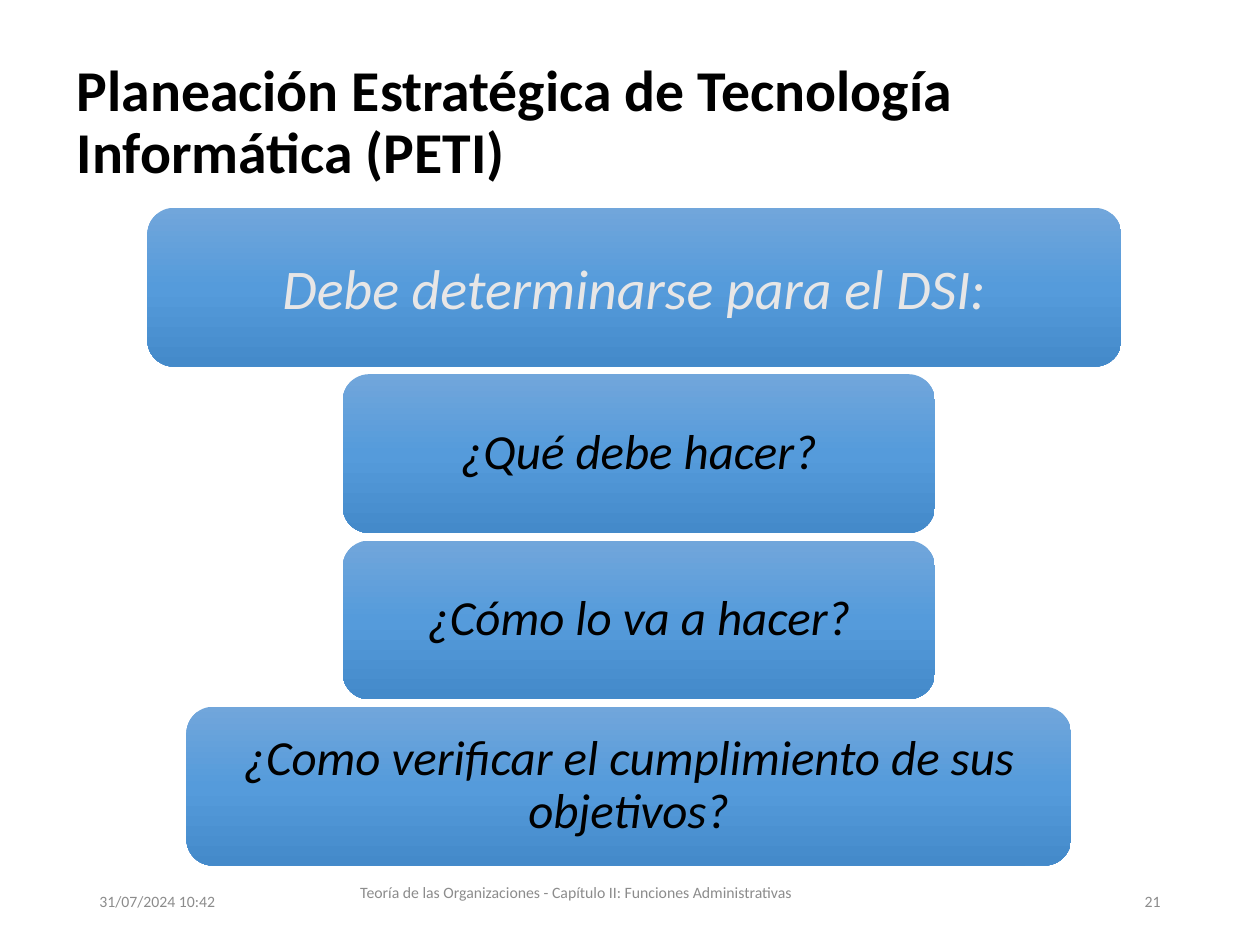
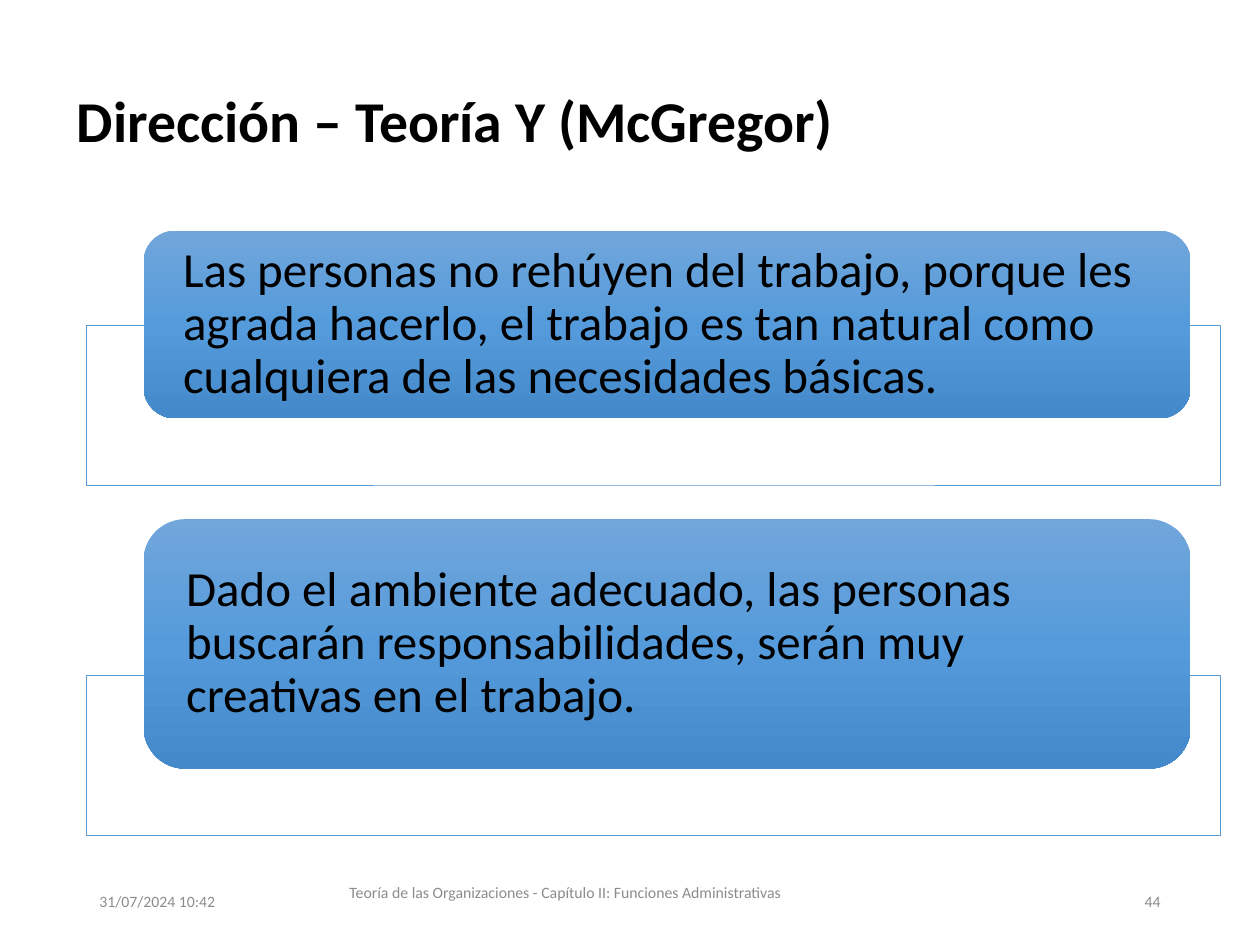
from copy import deepcopy

from lxml.etree import SubElement
from pptx import Presentation
from pptx.dml.color import RGBColor
from pptx.enum.shapes import MSO_SHAPE
from pptx.enum.text import MSO_ANCHOR, MSO_AUTO_SIZE, PP_ALIGN
from pptx.oxml.ns import qn
from pptx.util import Inches, Pt

FONT = "Calibri"
BLACK, PALE, GREY, WHITE, BLUE = "000000", "E7E6E6", "8C8C8C", "FFFFFF", "5B9BD5"
GRADIENT = ["71A6DB", "559BDB", "448ACA"]
COURSE = "Teoría de las Organizaciones - Capítulo II: Funciones Administrativas"
TITLE = {"size": Pt(33), "bold": True}
HEADING = {"size": Pt(32), "italic": True}
QUESTION = {"size": Pt(28), "italic": True}
STATEMENT = {"size": Pt(28)}
FOOTER = {"size": Pt(9)}


def rgb(value):
    return RGBColor.from_string(value)


class Deck:
    """Holds the shared style and the slide being built."""

    def __init__(self):
        self.prs = Presentation()
        self.prs.slide_width, self.prs.slide_height = Inches(10), Inches(7.5)
        self.s = None

    def add_slide(self, title, number, course_left, course_width):
        self.s = self.prs.slides.add_slide(self.prs.slide_layouts[5])
        sp = self.s.shapes.title
        sp.left, sp.top, sp.width, sp.height = map(Inches, (0.51, 0.36, 9, 1.25))
        self.set_text(sp, title, TITLE, spacing=0.9)
        self.label("31/07/2024 10:42", 0.69, 6.95, 2.25, 0.4, PP_ALIGN.LEFT)
        self.label(COURSE, course_left, 6.83, course_width, 0.5, PP_ALIGN.CENTER)
        self.label(str(number), 7.06, 6.95, 2.25, 0.4, PP_ALIGN.RIGHT)

    def set_text(self, sp, text, style, color=BLACK, align=PP_ALIGN.LEFT,
                 spacing=1.0, insets=(0.1, 0.05)):
        tf = sp.text_frame
        across, down = map(Inches, insets)
        frame = {"word_wrap": True, "auto_size": MSO_AUTO_SIZE.NONE,
                 "vertical_anchor": MSO_ANCHOR.MIDDLE,
                 "margin_left": across, "margin_right": across,
                 "margin_top": down, "margin_bottom": down}
        for name, value in frame.items():
            setattr(tf, name, value)
        p = tf.paragraphs[0]
        p.alignment, p.line_spacing = align, spacing
        r = p.add_run()
        r.text = text
        for name, value in {"name": FONT, **style}.items():
            setattr(r.font, name, value)
        r.font.color.rgb = rgb(color)

    def label(self, text, left, top, width, height, align):
        sp = self.s.shapes.add_textbox(*map(Inches, (left, top, width, height)))
        self.set_text(sp, text, FOOTER, GREY, align)

    def shape(self, kind, left, top, width, height):
        sp = self.s.shapes.add_shape(kind, *map(Inches, (left, top, width, height)))
        sp.shadow.inherit = False
        return sp

    def card(self, text, left, top, width, height, style, **text_format):
        sp = self.shape(MSO_SHAPE.ROUNDED_RECTANGLE, left, top, width, height)
        sp.line.fill.background()
        sp.fill.gradient()
        sp.fill.gradient_angle = 270
        stop_list = sp._element.spPr.find(qn("a:gradFill")).find(qn("a:gsLst"))
        stop_list.insert(1, deepcopy(stop_list[0]))
        for i, (stop, color) in enumerate(zip(sp.fill.gradient_stops, GRADIENT)):
            stop.position = i / 2
            stop.color.rgb = rgb(color)
        self.set_text(sp, text, style, **text_format)

    def frame(self, left, top, width, height):
        sp = self.shape(MSO_SHAPE.RECTANGLE, left, top, width, height)
        sp.fill.solid()
        sp.fill.fore_color.rgb = rgb(WHITE)
        color = sp._element.spPr.find(qn("a:solidFill"))[0]
        SubElement(color, qn("a:alpha")).set("val", "90000")
        sp.line.color.rgb = rgb(BLUE)
        sp.line.width = Pt(0.5)


def build_planning(deck):
    deck.add_slide("Planeación Estratégica de Tecnología Informática (PETI)", 21, 2.03, 5.08)
    top, height, pitch = 1.65, 1.26, 1.32
    deck.card("Debe determinarse para el DSI:", 1.17, top, 7.73, height, HEADING,
              color=PALE, align=PP_ALIGN.CENTER, insets=(0.13, 0.07))
    questions = [
        ("¿Qué debe hacer?", 2.72, 4.7),
        ("¿Cómo lo va a hacer?", 2.72, 4.7),
        ("¿Como verificar el cumplimiento de sus objetivos?", 1.48, 7.02),
    ]
    for i, (text, left, width) in enumerate(questions, 1):
        deck.card(text, left, top + i * pitch, width, height, QUESTION,
                  align=PP_ALIGN.CENTER, spacing=0.9, insets=(0.12, 0.06))


def build_theory_y(deck):
    deck.add_slide("Dirección – Teoría Y (McGregor)", 44, 1.87, 5.23)
    overlap = 0.74
    statements = [
        ("Las personas no rehúyen del trabajo, porque les agrada hacerlo, el trabajo "
         "es tan natural como cualquiera de las necesidades básicas.", 2.58, 1.49),
        ("Dado el ambiente adecuado, las personas buscarán responsabilidades, "
         "serán muy creativas en el trabajo.", 5.36, 1.98),
    ]
    for text, frame_top, height in statements:
        deck.frame(0.69, frame_top, 9, 1.27)
        deck.card(text, 1.14, frame_top + overlap - height, 8.31, height, STATEMENT,
                  spacing=0.9, insets=(0.24, 0))


def main():
    deck = Deck()
    build_planning(deck)
    build_theory_y(deck)
    deck.prs.save("out.pptx")


if __name__ == "__main__":
    main()
